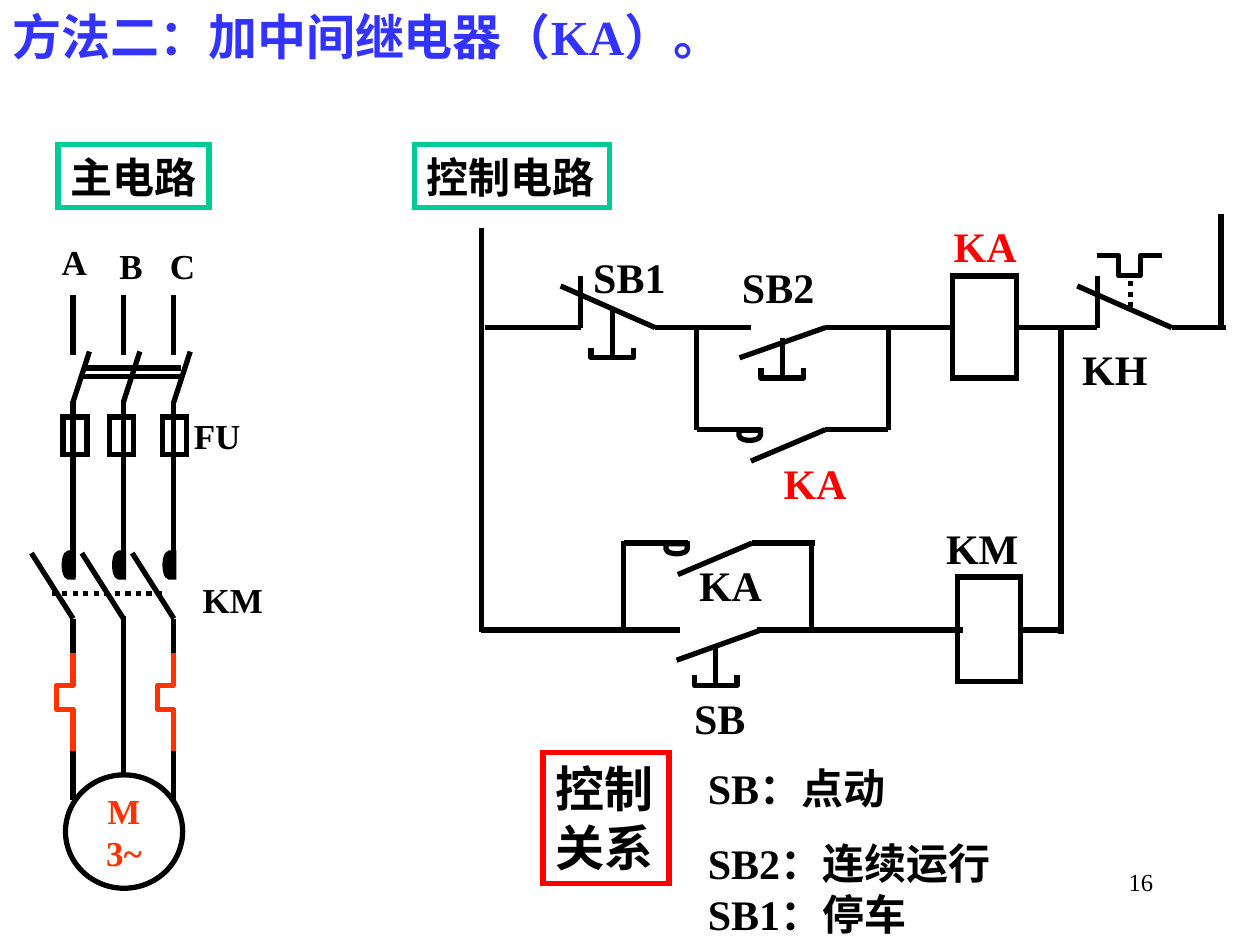
from lxml import etree
from pptx import Presentation
from pptx.dml.color import RGBColor
from pptx.enum.dml import MSO_LINE
from pptx.enum.shapes import MSO_CONNECTOR, MSO_SHAPE as SHAPE
from pptx.enum.text import MSO_ANCHOR as ANCHOR, MSO_AUTO_SIZE as FIT, PP_ALIGN as ALIGN
from pptx.oxml.ns import qn
from pptx.util import Inches, Pt

BLACK = RGBColor(0x00, 0x00, 0x00)
WHITE = RGBColor(0xFF, 0xFF, 0xFF)
RED = RGBColor(0xFF, 0x00, 0x00)
ORANGE = RGBColor(0xFF, 0x33, 0x00)
BLUE = RGBColor(0x33, 0x33, 0xFF)
GREEN = RGBColor(0x00, 0xCC, 0x99)
FONT = "Times New Roman"


def write(sp, text, size=24, color=BLACK, bold=True, align=ALIGN.LEFT,
          anchor=ANCHOR.TOP, wrap=True, fit=FIT.SHAPE_TO_FIT_TEXT, spacing=()):
    """Fill a shape with formatted text, one paragraph per line."""
    tf = sp.text_frame
    tf.word_wrap, tf.auto_size, tf.vertical_anchor = wrap, fit, anchor
    for i, line in enumerate(text.split("\n")):
        p = tf.paragraphs[0] if i == 0 else tf.add_paragraph()
        p.alignment = align
        if i < len(spacing):
            p.line_spacing = spacing[i]
        r = p.add_run()
        r.text = line
        r.font.name, r.font.size, r.font.bold = FONT, Pt(size), bold
        r.font.color.rgb = color


def label(s, text, x, y, w, h=0.5, **fmt):
    """Add a text box."""
    write(s.shapes.add_textbox(Inches(x), Inches(y), Inches(w), Inches(h)), text, **fmt)


def outline(sp, color, fill=None):
    """Give a shape a 3 pt outline and a plain or absent fill."""
    sp.shadow.inherit = False
    sp.line.color.rgb, sp.line.width = color, Pt(3)
    if fill is None:
        sp.fill.background()
    else:
        sp.fill.solid()
        sp.fill.fore_color.rgb = fill


def block(s, kind, x, y, w, h, color=BLACK, fill=None, rotation=0):
    """Add an outlined preset shape with sharp corners."""
    sp = s.shapes.add_shape(kind, Inches(x), Inches(y), Inches(w), Inches(h))
    outline(sp, color, fill)
    etree.SubElement(sp._element.spPr.find(qn("a:ln")), qn("a:miter"), lim="800000")
    sp.rotation = rotation
    return sp


def wire(s, x, y, x1, y1, x2, y2, dotted=False):
    """Add a straight wire with ends relative to x, y."""
    c = s.shapes.add_connector(MSO_CONNECTOR.STRAIGHT, Inches(x + x1), Inches(y + y1),
                               Inches(x + x2), Inches(y + y2))
    c.line.color.rgb, c.line.width = BLACK, Pt(3)
    if dotted:
        c.line.dash_style = MSO_LINE.ROUND_DOT
    etree.SubElement(c._element.spPr, qn("a:effectLst"))


def bent(s, x, y, points, color=BLACK):
    """Add an open polyline with points relative to x, y."""
    pts = [(Inches(x + dx), Inches(y + dy)) for dx, dy in points]
    fb = s.shapes.build_freeform(*pts[0], scale=1.0)
    fb.add_line_segments(pts[1:], close=False)
    outline(fb.convert_to_shape(), color)


def push_button(s, x, y, stem):
    """Draw a button actuator whose cup has its bottom centre at x, y."""
    wire(s, x, y, 0, -stem, 0, 0)
    bent(s, x, y, [(-0.17, -0.08), (-0.17, 0), (0.17, 0), (0.17, -0.08)])


def closed_contact(s, x, y):
    """Draw a normally closed contact with its fixed side at x, y."""
    wire(s, x, y, 0.59, 0, -0.16, -0.33)
    wire(s, x, y, 0, 0, 0, -0.41)


def relay_contact(s, x, y):
    """Draw a normally open relay contact with leads, starting at x, y."""
    wire(s, x, y, 0, 0, 0.51, 0)
    wire(s, x, y, 1.02, 0, 1.52, 0)
    wire(s, x, y, 1.02, 0, 0.43, 0.25)
    block(s, SHAPE.FLOWCHART_DELAY, x + 0.38, y - 0.04, 0.08, 0.17, fill=WHITE, rotation=90)


def heater(s, x, y):
    """Draw a thermal relay heater and its leads down to the motor."""
    wire(s, x, y, 0, 2.57, 0, 3.02)
    wire(s, x, y, 0, 3.3, 0, 4.01)
    bent(s, x, y, [(0, 2.84), (0, 3.1), (-0.13, 3.1), (-0.13, 3.29), (0, 3.29), (0, 3.62)], ORANGE)


def main_circuit(s, x, y):
    """Draw the three-phase circuit with the top of phase A at x, y."""
    pitch = 0.4
    motor = block(s, SHAPE.OVAL, x - 0.06, y + 3.81, 0.93, 0.9, fill=WHITE)
    write(motor, "M\n3~", size=20, color=ORANGE, align=ALIGN.CENTER,
          anchor=ANCHOR.MIDDLE, wrap=False, fit=FIT.NONE)
    for i, fuse in enumerate((-0.08, -0.11, -0.09)):
        px = x + i * pitch
        wire(s, px, y, 0, 0, 0, 0.48)
        wire(s, px, y, 0, 0.85, 0.13, 0.45)
        wire(s, px, y, 0, 0.84, 0, 2.24)
        block(s, SHAPE.RECTANGLE, px + fuse, y + 0.97, 0.19, 0.3)
        wire(s, px, y, 0, 2.57, -0.33, 2.05)
        block(s, SHAPE.FLOWCHART_DELAY, px - 0.07, y + 2.05, 0.07, 0.19, fill=BLACK, rotation=180)
    for px in (x, x + 2 * pitch):
        heater(s, px, y)
    wire(s, x + pitch, y, 0, 2.55, 0, 3.81)
    for dy in (0.58, 0.65):
        wire(s, x, y, 0.07, dy, 0.86, dy)
    wire(s, x, y, -0.17, 2.37, 0.72, 2.37, dotted=True)
    label(s, "A", x - 0.19, y - 0.48, 0.4, 0.44, size=20, wrap=False)
    for text, dx, dy, w in (("B", 0.27, -0.45, 0.33), ("C", 0.67, -0.45, 0.33),
                            ("FU", 0.86, 0.9, 0.93), ("KM", 0.93, 2.2, 0.93)):
        label(s, text, x + dx, y + dy, w, 0.44, size=20)


def control_circuit(s, x, y):
    """Draw the control circuit with its upper rung leaving the left rail at x, y."""
    for ends in ((0, 2.42, 0, -0.79), (5.87, 0, 5.87, -0.9), (4.6, 0.02, 4.6, 2.43),
                 (0.03, 0, 0.79, 0), (1.38, 0, 2.14, 0), (2.73, 0, 3.74, 0),
                 (4.24, 0, 4.89, 0), (5.48, 0, 5.91, 0), (2.73, 0, 2.05, 0.24),
                 (1.71, 0, 1.71, 0.81), (3.23, 0, 3.23, 0.81),
                 (0, 2.4, 1.58, 2.4), (2.19, 2.4, 3.82, 2.4), (4.3, 2.4, 4.62, 2.4),
                 (2.22, 2.4, 1.55, 2.64), (1.13, 1.69, 1.13, 2.42), (2.62, 1.69, 2.62, 2.42)):
        wire(s, x, y, *ends)
    for dx in (0.79, 4.89):
        closed_contact(s, x + dx, y)
    for dx, dy in ((1.71, 0.81), (1.13, 1.71)):
        relay_contact(s, x + dx, y + dy)
    for dx, dy, stem in ((1.04, 0.24, 0.4), (2.39, 0.4, 0.32), (1.86, 2.84, 0.32)):
        push_button(s, x + dx, y + dy, stem)
    block(s, SHAPE.RECTANGLE, x + 3.74, y - 0.41, 0.51, 0.81, fill=WHITE)
    block(s, SHAPE.RECTANGLE, x + 3.78, y + 1.98, 0.5, 0.83)
    wire(s, x, y, 5.15, -0.16, 5.15, -0.41, dotted=True)
    bent(s, x + 4.89, y - 0.57, [(0, 0), (0.17, 0), (0.17, 0.16), (0.34, 0.16), (0.34, 0), (0.51, 0)])
    for text, dx, dy, color in (("SB1", 0.79, -0.65, BLACK), ("SB2", 1.97, -0.57, BLACK),
                                ("KA", 3.65, -0.9, RED), ("KH", 4.67, 0.08, BLACK),
                                ("KA", 2.3, 0.98, RED), ("KA", 1.63, 1.79, BLACK),
                                ("KM", 3.59, 1.5, BLACK), ("SB", 1.59, 2.85, BLACK)):
        label(s, text, x + dx, y + dy, 1.18, color=color)


def control_relations(s, x, y):
    """Place the framed heading and the list of button functions."""
    frame = block(s, SHAPE.RECTANGLE, x, y, 1, 1.04, color=RED)
    write(frame, "控制\n关系", size=28, wrap=False)
    label(s, "SB：点动\nSB2：连续运行\nSB1：停车", x + 1.21, y - 0.17, 2.52, 2.3,
          wrap=False, spacing=(1.5, 1.5))


def slide_title(s, x, y, w, h):
    """Place and format the title placeholder."""
    sp = s.shapes.title
    sp.left, sp.top, sp.width, sp.height = Inches(x), Inches(y), Inches(w), Inches(h)
    write(sp, "方法二：加中间继电器（KA）。", size=28, color=BLUE)


def main():
    """Build and save the slide."""
    prs = Presentation()
    prs.slide_width, prs.slide_height = Inches(10), Inches(7.5)
    s = prs.slides.add_slide(prs.slide_layouts[5])
    slide_title(s, 0, 0, 6.29, 0.57)
    main_circuit(s, 0.58, 2.34)
    control_circuit(s, 3.82, 2.6)
    control_relations(s, 4.31, 5.97)
    for text, x, w in (("主电路", 0.46, 1.2), ("控制电路", 3.29, 1.55)):
        write(block(s, SHAPE.RECTANGLE, x, 1.15, w, 0.5, color=GREEN), text, wrap=False)
    label(s, "16", 7.17, 6.83, 2.08, size=14, bold=False, align=ALIGN.RIGHT, fit=FIT.NONE)
    prs.save("out.pptx")


if __name__ == "__main__":
    main()
